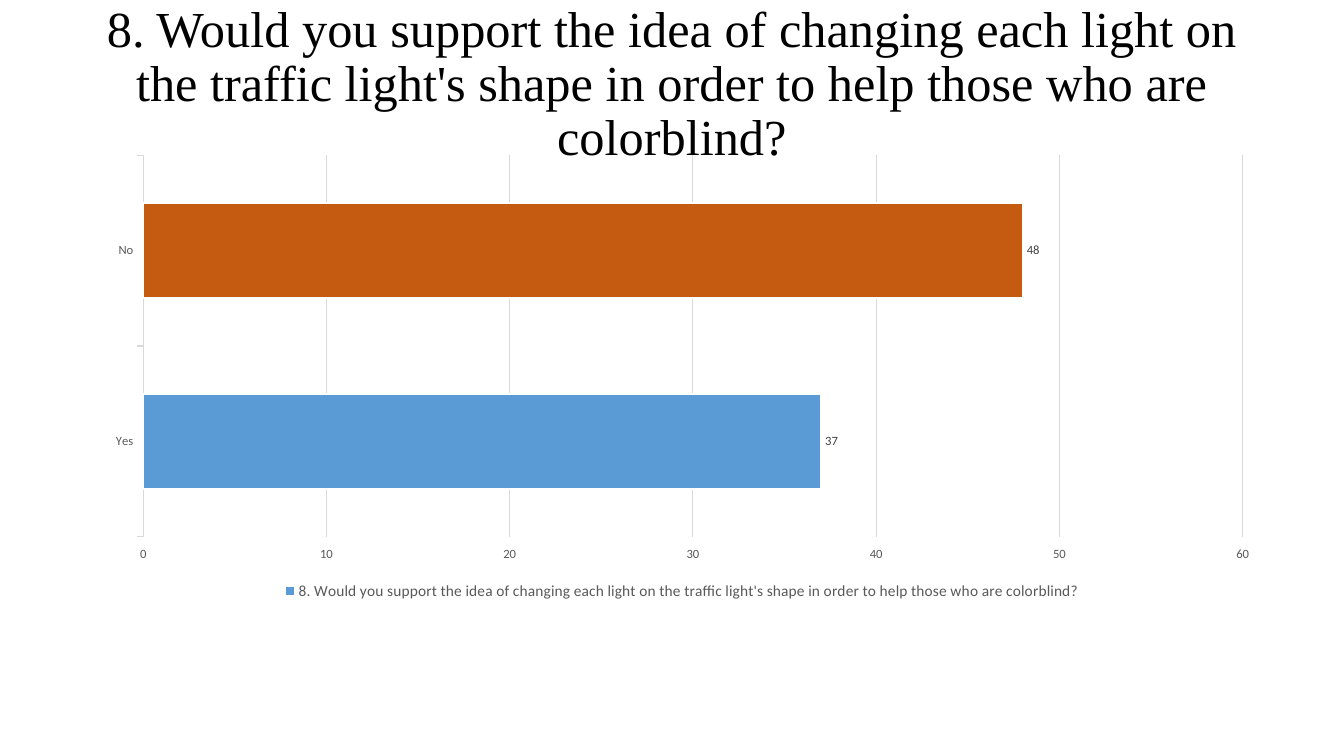
from dataclasses import dataclass
from pptx import Presentation
from pptx import util as u
from pptx.chart import data
from pptx.dml import color
from pptx.enum import chart as charts, text

QUESTION = ("8. Would you support the idea of changing each light on the traffic light's "
            "shape in order to help those who are colorblind?")
ANSWERS = [("Yes", 37, "5B9BD5"), ("No", 48, "C55A11")]
SLIDE_SIZE = (960, 540)
TITLE_AREA = (66, 8.64, 828, 104.4)
CHART_AREA = (66, 104.4, 843.12, 327.6)
AXIS_MAXIMUM, AXIS_STEP = 60, 10


@dataclass(frozen=True)
class Theme:
    title_font: str = "Times New Roman"
    chart_font: str = "Calibri"
    title: str = "000000"
    axis: str = "595959"
    label: str = "404040"
    rule: str = "D9D9D9"
    edge: str = "FFFFFF"
    title_size: float = 36
    chart_size: float = 10
    axis_size: float = 9
    legend_size: float = 11
    rule_width: float = 0.75
    edge_width: float = 1.5


THEME = Theme()


def rgb(value):
    return color.RGBColor.from_string(value)


def set_font(font, name, size, value):
    font.name, font.size = name, u.Pt(size)
    font.color.rgb = rgb(value)


def set_line(line, value, width):
    line.color.rgb = rgb(value)
    line.width = u.Pt(width)


def add_title(page):
    box = page.shapes.add_textbox(*map(u.Pt, TITLE_AREA))
    frame = box.text_frame
    frame.word_wrap = True
    frame.vertical_anchor = text.MSO_ANCHOR.MIDDLE
    para = frame.paragraphs[0]
    para.text = QUESTION
    para.alignment = text.PP_ALIGN.CENTER
    para.line_spacing = 0.9
    set_font(para.font, THEME.title_font, THEME.title_size, THEME.title)


def style_axes(chart):
    for axis in (chart.category_axis, chart.value_axis):
        set_font(axis.tick_labels.font, THEME.chart_font, THEME.axis_size, THEME.axis)
        axis.major_tick_mark = charts.XL_TICK_MARK.OUTSIDE
        axis.minor_tick_mark = charts.XL_TICK_MARK.NONE
    chart.category_axis.has_major_gridlines = False
    set_line(chart.category_axis.format.line, THEME.rule, THEME.rule_width)
    values = chart.value_axis
    values.minimum_scale, values.maximum_scale = 0, AXIS_MAXIMUM
    values.major_unit = AXIS_STEP
    values.format.line.fill.background()
    values.has_major_gridlines = True
    set_line(values.major_gridlines.format.line, THEME.rule, THEME.rule_width)


def style_bars(plot):
    plot.gap_width = 100
    plot.vary_by_categories = False
    series = plot.series[0]
    series.invert_if_negative = False
    bars = [series] + [series.points[i] for i in range(len(ANSWERS))]
    fills = [ANSWERS[0][2]] + [fill for _, _, fill in ANSWERS]
    for bar, fill in zip(bars, fills):
        bar.format.fill.solid()
        bar.format.fill.fore_color.rgb = rgb(fill)
        set_line(bar.format.line, THEME.edge, THEME.edge_width)
    labels = series.data_labels
    labels.show_value = True
    labels.position = charts.XL_LABEL_POSITION.OUTSIDE_END
    set_font(labels.font, THEME.chart_font, THEME.axis_size, THEME.label)


def add_answer_chart(page):
    answers = data.CategoryChartData()
    answers.categories = [name for name, _, _ in ANSWERS]
    answers.add_series(QUESTION, [count for _, count, _ in ANSWERS])
    chart = page.shapes.add_chart(
        charts.XL_CHART_TYPE.BAR_CLUSTERED, *map(u.Pt, CHART_AREA), answers).chart
    set_font(chart.font, THEME.chart_font, THEME.chart_size, THEME.title)
    chart.has_title = False
    chart.has_legend = True
    chart.legend.position = charts.XL_LEGEND_POSITION.BOTTOM
    chart.legend.include_in_layout = False
    set_font(chart.legend.font, THEME.chart_font, THEME.legend_size, THEME.axis)
    style_axes(chart)
    style_bars(chart.plots[0])


def main():
    deck = Presentation()
    deck.slide_width, deck.slide_height = map(u.Pt, SLIDE_SIZE)
    page = deck.slides.add_slide(deck.slide_layouts[6])
    add_title(page)
    add_answer_chart(page)
    deck.save("out.pptx")


if __name__ == "__main__":
    main()
